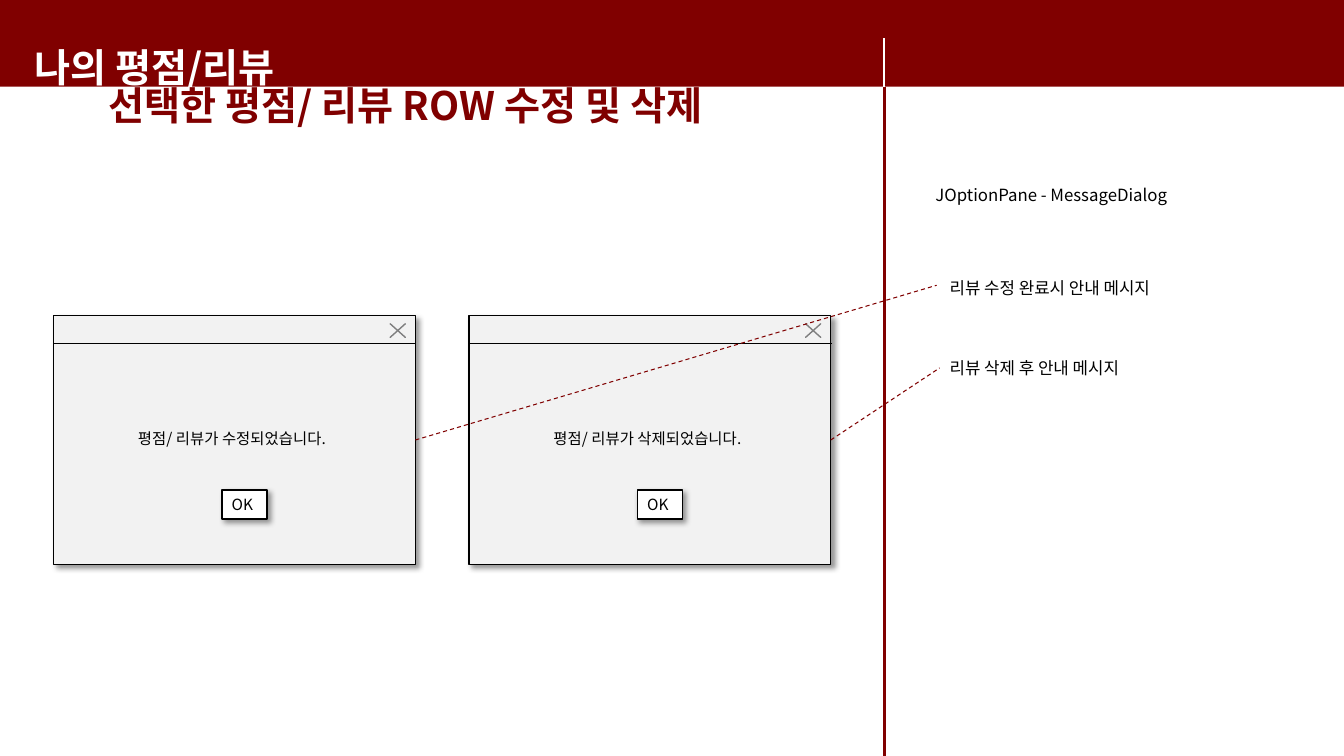
from dataclasses import dataclass

from lxml import etree
from pptx import Presentation
from pptx.dml.color import RGBColor
from pptx.enum.dml import MSO_LINE
from pptx.enum.shapes import MSO_CONNECTOR, MSO_SHAPE
from pptx.enum.text import MSO_ANCHOR
from pptx.oxml import parse_xml
from pptx.oxml.ns import nsdecls, qn
from pptx.shapes.autoshape import Shape
from pptx.shapes.connector import Connector
from pptx.slide import Slide
from pptx.util import Inches, Pt

RECTANGLE = MSO_SHAPE.RECTANGLE
MULTIPLY = MSO_SHAPE.MATH_MULTIPLY
STRAIGHT = MSO_CONNECTOR.STRAIGHT
DASH = MSO_LINE.DASH
MIDDLE = MSO_ANCHOR.MIDDLE
LEFT_SIDE, RIGHT_SIDE = 1, 3


@dataclass(frozen=True)
class Theme:
    font: str = "Noto Sans CJK KR"
    maroon: str = "800000"
    white: str = "FFFFFF"
    black: str = "000000"
    panel: str = "F2F2F2"
    gray: str = "7F7F7F"
    blue: str = "4472C4"
    title_size: float = 28
    note_size: float = 12
    dialog_size: float = 11
    outline: float = 1


@dataclass(frozen=True)
class Box:
    left: float
    top: float
    width: float
    height: float


@dataclass(frozen=True)
class Label:
    text: str
    box: Box
    size: float
    color: str
    bold: bool = False
    spacing: float = 1.0


@dataclass(frozen=True)
class Dialog:
    message: str
    left: float


THEME = Theme()
DIALOG_TOP, DIALOG_WIDTH, DIALOG_HEIGHT = 3.13, 3.59, 2.47
TITLE_BAR_BOTTOM = 3.41
DIVIDER_X = 8.77

HEADINGS = (
    Label("나의 평점/리뷰", Box(0.24, 0.38, 3.96, 0.57), THEME.title_size, THEME.white, True),
    Label("선택한 평점/ 리뷰 ROW 수정 및 삭제", Box(0.98, 0.76, 7.52, 0.57),
          THEME.title_size, THEME.maroon, True),
    Label("JOptionPane - MessageDialog", Box(9.18, 1.78, 3.87, 0.3),
          THEME.note_size, THEME.black),
)
EDITED_NOTE = Label("리뷰 수정 완료시 안내 메시지", Box(9.32, 2.71, 3.87, 0.3),
                    THEME.note_size, THEME.black)
DELETED_NOTE = Label("리뷰 삭제 후 안내 메시지", Box(9.32, 3.5, 3.87, 0.3),
                     THEME.note_size, THEME.black)
EDITED_DIALOG = Dialog("평점/ 리뷰가 수정되었습니다.", 0.53)
DELETED_DIALOG = Dialog("평점/ 리뷰가 삭제되었습니다.", 4.65)


def rgb(color: str) -> RGBColor:
    return RGBColor.from_string(color)


def write(shape: Shape, label: Label) -> None:
    frame = shape.text_frame
    frame.word_wrap = True
    para = frame.paragraphs[0]
    para.text = label.text
    para.line_spacing = label.spacing
    font = para.font
    font.name = THEME.font
    font.size = Pt(label.size)
    font.bold = label.bold
    font.color.rgb = rgb(label.color)
    defaults = para._p.pPr.find(qn("a:defRPr"))
    etree.SubElement(defaults, qn("a:ea")).set("typeface", THEME.font)


def add_label(page: Slide, label: Label) -> Shape:
    box = label.box
    shape = page.shapes.add_textbox(
        Inches(box.left), Inches(box.top), Inches(box.width), Inches(box.height))
    write(shape, label)
    return shape


def add_block(page: Slide, box: Box, fill: str, outline: str | None = None,
              kind: MSO_SHAPE = RECTANGLE) -> Shape:
    shape = page.shapes.add_shape(
        kind, Inches(box.left), Inches(box.top), Inches(box.width), Inches(box.height))
    shape.shadow.inherit = False
    shape.fill.solid()
    shape.fill.fore_color.rgb = rgb(fill)
    if outline:
        shape.line.color.rgb = rgb(outline)
        shape.line.width = Pt(THEME.outline)
    else:
        shape.line.fill.background()
    return shape


def cast_shadow(shape: Shape) -> None:
    """Give the shape a soft shadow towards the lower right."""
    effects = shape._element.spPr.find(qn("a:effectLst"))
    effects.append(parse_xml(
        f'<a:outerShdw {nsdecls("a")} blurRad="{Pt(4)}" dist="{Pt(3)}" dir="2700000" '
        f'algn="tl" rotWithShape="0"><a:srgbClr val="{THEME.black}">'
        '<a:alpha val="40000"/></a:srgbClr></a:outerShdw>'))


def add_line(page: Slide, start: tuple[float, float], end: tuple[float, float],
             color: str, width: float) -> Connector:
    line = page.shapes.add_connector(
        STRAIGHT, Inches(start[0]), Inches(start[1]), Inches(end[0]), Inches(end[1]))
    line.line.color.rgb = rgb(color)
    line.line.width = Pt(width)
    etree.SubElement(line._element.spPr, qn("a:effectLst"))
    return line


def add_dialog(page: Slide, dialog: Dialog) -> Shape:
    """Draw a message dialog and return its window frame."""
    left = dialog.left
    window = add_block(page, Box(left, DIALOG_TOP, DIALOG_WIDTH, DIALOG_HEIGHT),
                       THEME.panel, THEME.black)
    cast_shadow(window)
    add_line(page, (left + 0.01, TITLE_BAR_BOTTOM),
             (left + DIALOG_WIDTH + 0.01, TITLE_BAR_BOTTOM), THEME.black, THEME.outline)
    add_label(page, Label(dialog.message, Box(left + 0.74, 4.02, 2.52, 0.41),
                          THEME.dialog_size, THEME.black, spacing=2.0))
    close_mark = add_block(page, Box(left + 3.27, 3.15, 0.29, 0.26),
                           THEME.blue, THEME.gray, MULTIPLY)
    close_mark.adjustments[0] = 0
    button_box = Box(left + 1.67, 4.86, 0.45, 0.29)
    button = add_block(page, button_box, THEME.white, THEME.black)
    cast_shadow(button)
    write(button, Label("OK", button_box, THEME.dialog_size, THEME.black))
    button.text_frame.vertical_anchor = MIDDLE
    button.text_frame.paragraphs[0].alignment = None
    return window


def add_callout(page: Slide, window: Shape, dialog: Dialog,
                end: tuple[float, float]) -> Connector:
    """Run a dashed line from the right side of a dialog to its note."""
    start = (dialog.left + DIALOG_WIDTH, DIALOG_TOP + DIALOG_HEIGHT / 2)
    line = add_line(page, start, end, THEME.maroon, 0.75)
    line.line.dash_style = DASH
    line.begin_connect(window, RIGHT_SIDE)
    return line


def main() -> None:
    deck = Presentation()
    deck.slide_width, deck.slide_height = Inches(13.33), Inches(7.5)
    page = deck.slides.add_slide(deck.slide_layouts[6])

    add_block(page, Box(-0.18, 0, 13.83, 0.86), THEME.maroon)
    add_line(page, (DIVIDER_X, 0.38), (DIVIDER_X, 0.95), THEME.white, 1.5)
    add_line(page, (DIVIDER_X, 0.86), (DIVIDER_X, 7.5), THEME.maroon, 2.25)
    edited_window = add_dialog(page, EDITED_DIALOG)
    deleted_window = add_dialog(page, DELETED_DIALOG)
    for heading in HEADINGS:
        add_label(page, heading)

    deleted_note = add_label(page, DELETED_NOTE)
    deleted_line = add_callout(page, deleted_window, DELETED_DIALOG, (9.32, 3.65))
    deleted_line.end_connect(deleted_note, LEFT_SIDE)
    add_label(page, EDITED_NOTE)
    add_callout(page, edited_window, EDITED_DIALOG, (9.29, 2.83))

    deck.save("out.pptx")


if __name__ == "__main__":
    main()
